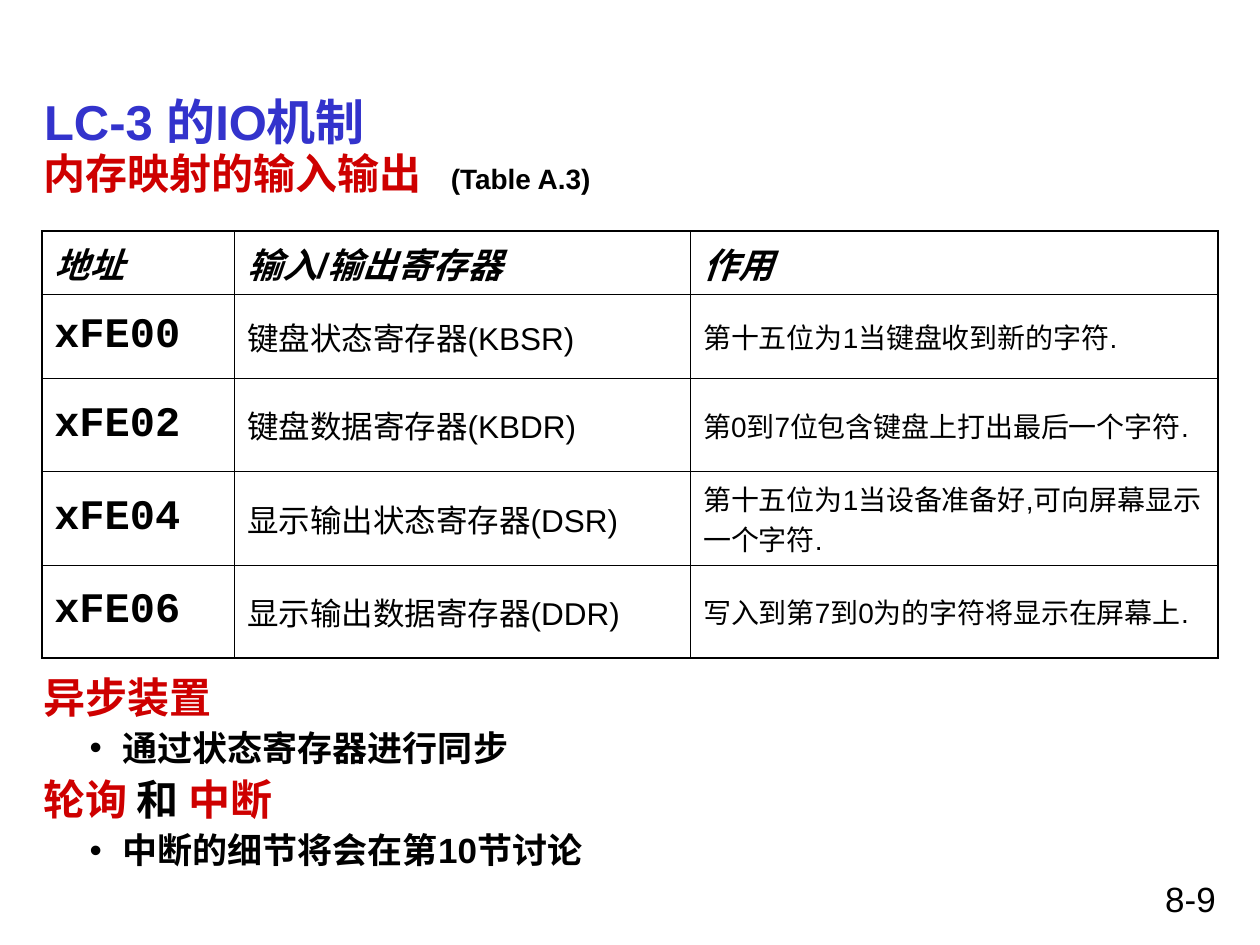
"""Build the slide on LC-3 memory-mapped input and output."""
import dataclasses
import typing

import lxml.etree
import pptx
import pptx.dml.color
import pptx.enum.text
import pptx.oxml.ns
import pptx.util

Cm = pptx.util.Cm
Pt = pptx.util.Pt
Align = pptx.enum.text.PP_ALIGN
Anchor = pptx.enum.text.MSO_ANCHOR


@dataclasses.dataclass(frozen=True)
class Theme:
    sans: str = "Arial"
    mono: str = "Courier New"
    black: str = "000000"
    blue: str = "3333CC"
    red: str = "CE0000"
    title: float = 28
    heading: float = 24
    point: float = 20
    register: float = 18
    detail: float = 16
    outer_line: float = 1.08
    inner_line: float = 0.45


THEME = Theme()


class Style(typing.NamedTuple):
    size: float
    color: str = THEME.black
    bold: bool = False
    italic: bool = False
    font: str = THEME.sans


class Piece(typing.NamedTuple):
    text: str
    style: Style


class Line(typing.NamedTuple):
    pieces: list[Piece]
    before: float = 0
    spacing: float = 1.0
    bullet: bool = False
    tab: float = 0
    align: Align = Align.LEFT


class Box(typing.NamedTuple):
    left: float
    top: float
    width: float
    height: float


TITLE = Style(THEME.title, THEME.blue, bold=True)
RED_HEADING = Style(THEME.heading, THEME.red, bold=True)
BLACK_HEADING = Style(THEME.heading, bold=True)
REFERENCE = Style(THEME.detail, bold=True)
POINT = Style(THEME.point, bold=True)
PAGE = Style(THEME.point)
HEADER = Style(THEME.point, bold=True, italic=True)
COLUMN_STYLES = (
    Style(THEME.heading, bold=True, font=THEME.mono),
    Style(THEME.register),
    Style(THEME.detail),
)

COLUMN_WIDTHS = (3.89, 9.19, 10.64)
ROW_HEIGHTS = (1.27, 1.7, 1.88, 1.88, 1.88)
REGISTERS = (
    ("地址", "输入/输出寄存器", "作用"),
    ("xFE00", "键盘状态寄存器(KBSR)", "第十五位为1当键盘收到新的字符."),
    ("xFE02", "键盘数据寄存器(KBDR)", "第0到7位包含键盘上打出最后一个字符."),
    ("xFE04", "显示输出状态寄存器(DSR)", "第十五位为1当设备准备好,可向屏幕显示一个字符."),
    ("xFE06", "显示输出数据寄存器(DDR)", "写入到第7到0为的字符将显示在屏幕上."),
)


def add_child(parent, tag: str, **attributes: str):
    return lxml.etree.SubElement(parent, pptx.oxml.ns.qn(tag), attributes)


def format_run(run, style: Style) -> None:
    run.font.name = style.font
    run.font.size = Pt(style.size)
    run.font.bold = style.bold
    run.font.italic = style.italic
    run.font.color.rgb = pptx.dml.color.RGBColor.from_string(style.color)


def write_line(paragraph, line: Line) -> None:
    paragraph.alignment = line.align
    paragraph.line_spacing = line.spacing
    if line.before:
        paragraph.space_before = Pt(line.before)
    properties = paragraph._p.get_or_add_pPr()
    if line.bullet:
        paragraph.level = 1
        properties.set("marL", str(Cm(1.6)))
        properties.set("indent", str(Cm(-0.66)))
        add_child(properties, "a:buFont", typeface=THEME.sans)
        add_child(properties, "a:buChar", char="•")
    if line.tab:
        tabs = add_child(properties, "a:tabLst")
        add_child(tabs, "a:tab", pos=str(Cm(line.tab)), algn="l")
    for piece in line.pieces:
        run = paragraph.add_run()
        run.text = piece.text
        format_run(run, piece.style)


def add_text(slide, box: Box, lines: list[Line], anchor: Anchor = Anchor.TOP) -> None:
    frame = slide.shapes.add_textbox(*map(Cm, box)).text_frame
    frame.word_wrap = True
    frame.vertical_anchor = anchor
    for index, line in enumerate(lines):
        write_line(frame.add_paragraph() if index else frame.paragraphs[0], line)


def set_borders(cell, outer_sides: dict[str, bool]) -> None:
    properties = cell._tc.get_or_add_tcPr()
    for side, outer in outer_sides.items():
        width = Pt(THEME.outer_line if outer else THEME.inner_line)
        border = add_child(properties, f"a:{side}", w=str(width))
        fill = add_child(border, "a:solidFill")
        add_child(fill, "a:srgbClr", val=THEME.black)


def add_register_table(slide, left: float, top: float) -> None:
    last_row, last_column = len(ROW_HEIGHTS) - 1, len(COLUMN_WIDTHS) - 1
    table = slide.shapes.add_table(
        len(ROW_HEIGHTS), len(COLUMN_WIDTHS), Cm(left), Cm(top),
        Cm(sum(COLUMN_WIDTHS)), Cm(sum(ROW_HEIGHTS)),
    ).table
    table.first_row = table.horz_banding = False
    for column, width in zip(table.columns, COLUMN_WIDTHS):
        column.width = Cm(width)
    for row, height in zip(table.rows, ROW_HEIGHTS):
        row.height = Cm(height)
    for r, register in enumerate(REGISTERS):
        for c, text in enumerate(register):
            cell = table.cell(r, c)
            cell.text_frame.text = text
            format_run(cell.text_frame.paragraphs[0].runs[0], COLUMN_STYLES[c] if r else HEADER)
            cell.vertical_anchor = Anchor.MIDDLE if r else Anchor.TOP
            set_borders(cell, {"lnL": c == 0, "lnR": c == last_column,
                               "lnT": r == 0, "lnB": r == last_row})
            cell.fill.background()


def main() -> None:
    presentation = pptx.Presentation()
    presentation.slide_width, presentation.slide_height = Cm(25.4), Cm(19.05)
    slide = presentation.slides.add_slide(presentation.slide_layouts[6])

    add_text(slide, Box(18.21, 17.56, 6.55, 1.07),
             [Line([Piece("8-9", PAGE)], align=Align.RIGHT)])
    add_text(slide, Box(0.64, 1.7, 24.13, 1.47),
             [Line([Piece("LC-3 的IO机制", TITLE)])], Anchor.MIDDLE)
    add_text(slide, Box(0.62, 2.97, 22.02, 1.2), [
        Line([Piece("内存映射的输入输出\t", RED_HEADING), Piece("(Table A.3)", REFERENCE)],
             spacing=0.9, tab=8.22),
    ])
    add_text(slide, Box(0.62, 13.52, 22.02, 4.4), [
        Line([Piece("异步装置", RED_HEADING)], spacing=0.9),
        Line([Piece("通过状态寄存器进行同步", POINT)], 5, 0.9, bullet=True),
        Line([Piece("轮询 ", RED_HEADING), Piece("和 ", BLACK_HEADING),
              Piece("中断", RED_HEADING)], 6, 0.9),
        Line([Piece("中断的细节将会在第10节讨论", POINT)], 5, 0.9, bullet=True),
    ])
    add_register_table(slide, 0.84, 4.66)
    presentation.save("out.pptx")


if __name__ == "__main__":
    main()
